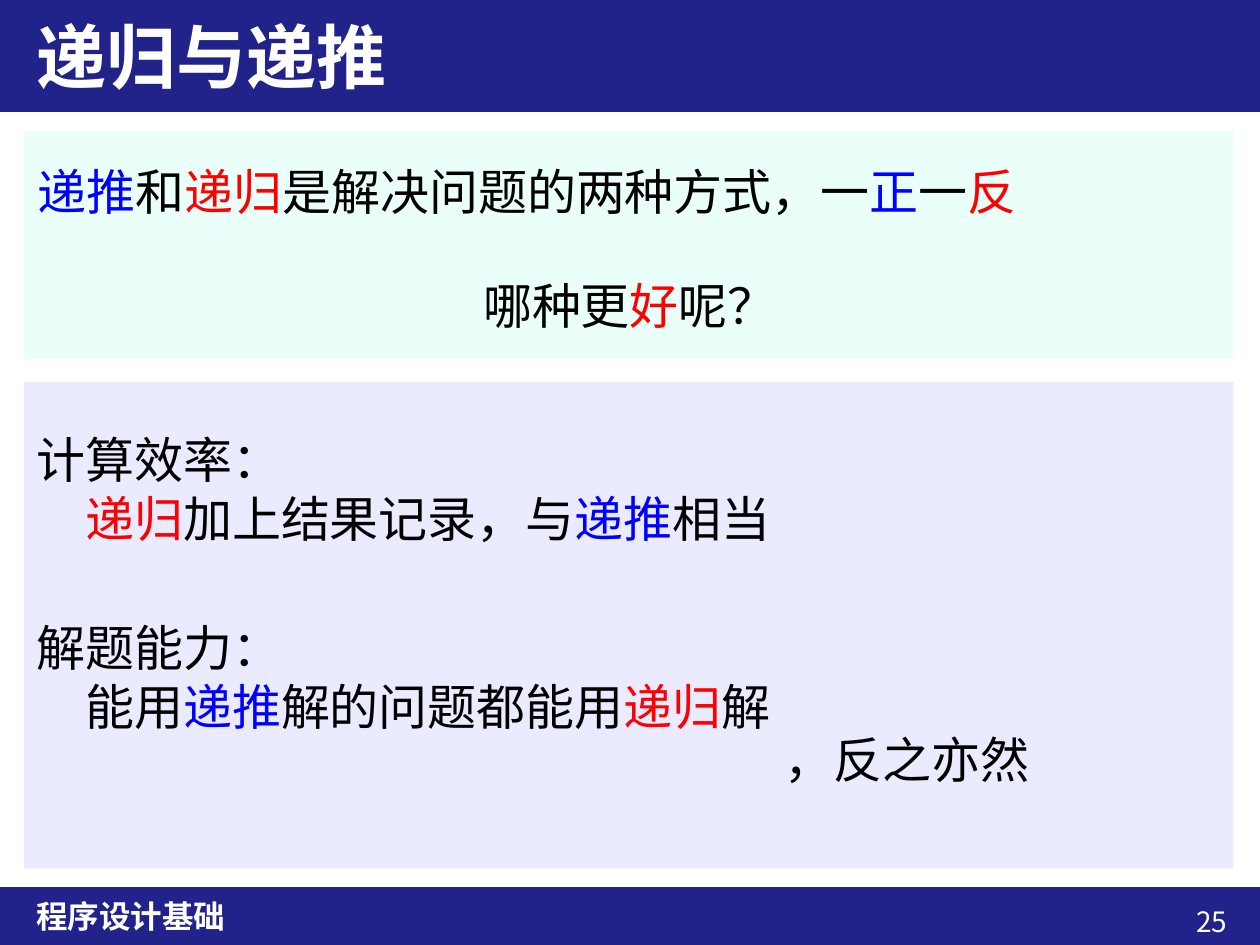
from dataclasses import dataclass

from pptx import Presentation
from pptx.dml.color import RGBColor
from pptx.enum.shapes import MSO_SHAPE
from pptx.enum.text import MSO_ANCHOR, MSO_AUTO_SIZE, PP_ALIGN
from pptx.oxml.ns import qn
from pptx.util import Pt

RECT = MSO_SHAPE.RECTANGLE
LEFT, CENTER, RIGHT = PP_ALIGN.LEFT, PP_ALIGN.CENTER, PP_ALIGN.RIGHT
TOP, MIDDLE = MSO_ANCHOR.TOP, MSO_ANCHOR.MIDDLE


@dataclass(frozen=True)
class Theme:
    band: str = "22228B"
    mint: str = "EBFFFA"
    lilac: str = "EBEBFF"
    white: str = "FFFFFF"
    black: str = "000000"
    blue: str = "0000FF"
    red: str = "FF0000"
    heading_font: str = "Noto Sans CJK SC"
    body_font: str = "Arial"
    title_size: int = 40
    body_size: int = 28
    footer_size: int = 18
    number_size: int = 16


class SlideBuilder:
    """Holds the theme and the current slide."""

    def __init__(self, slide, theme):
        self.s = slide
        self.theme = theme

    def box(self, area, fill):
        sp = self.s.shapes.add_shape(RECT, *map(Pt, area))
        sp.shadow.inherit = False
        sp.fill.solid()
        sp.fill.fore_color.rgb = RGBColor.from_string(fill)
        sp.line.fill.background()
        return sp

    def text_box(self, area):
        return self.s.shapes.add_textbox(*map(Pt, area))

    def placeholder(self, index, area):
        sp = self.s.placeholders[index]
        sp.left, sp.top, sp.width, sp.height = map(Pt, area)
        self.s.shapes._spTree.append(sp._element)  # bring to front
        return sp

    def frame(self, sp, anchor=MIDDLE, top_inset=3.6):
        tf = sp.text_frame
        tf.word_wrap = True
        tf.auto_size = MSO_AUTO_SIZE.NONE
        tf.vertical_anchor = anchor
        tf.margin_top = Pt(top_inset)
        return tf

    def style(self, r, size, color, font, bold=False):
        r.font.size = Pt(size)
        r.font.bold = bold
        r.font.name = font
        r.font.color.rgb = RGBColor.from_string(color)
        ea = r.font._element.makeelement(
            qn("a:ea"), {"typeface": self.theme.heading_font})
        r.font._element.find(qn("a:latin")).addnext(ea)

    def label(self, sp, text, size, align=LEFT, bold=True, anchor=MIDDLE):
        """One white line on a dark band."""
        tf = self.frame(sp, anchor)
        tf.text = text
        p = tf.paragraphs[0]
        p.alignment = align
        self.style(p.runs[0], size, self.theme.white,
                   self.theme.heading_font, bold)

    def line(self, p, parts, align=LEFT, spacing=1.0, indent=0, before=0):
        """One body line; each part is (text, colour)."""
        p.alignment = align
        p.line_spacing = spacing
        p.space_before = Pt(before)
        p_pr = p._p.get_or_add_pPr()
        p_pr.set("marL", str(Pt(indent)))
        p_pr.set("indent", "0")
        p_pr.append(p_pr.makeelement(qn("a:buNone"), {}))
        for text, color in parts:
            r = p.add_run()
            r.text = text
            self.style(r, self.theme.body_size, color, self.theme.body_font)


def main():
    prs = Presentation()
    prs.slide_width, prs.slide_height = Pt(720), Pt(540)
    t = Theme()
    b = SlideBuilder(prs.slides.add_slide(prs.slide_layouts[1]), t)
    x, width = 13.7, 691.2

    # Bands and footer
    b.box((0, 0, 720, 64), t.band)
    b.box((0, 507, 720, 33), t.band)
    b.label(b.text_box((x, 507, width, 33)), "程序设计基础", t.footer_size)
    b.label(b.text_box((618.5, 513.4, 90, 26.6)), "25", t.number_size,
            align=RIGHT, bold=False, anchor=TOP)

    # Title
    b.label(b.placeholder(0, (x, 0, width, 64)), "递归与递推", t.title_size)

    # Question panel
    b.box((x, 75, width, 130.3), t.mint)
    tf = b.frame(b.placeholder(1, (14.4, 77, width, 57)))
    b.line(tf.paragraphs[0], [
        ("递推", t.blue), ("和", t.black), ("递归", t.red),
        ("是解决问题的两种方式，一", t.black), ("正", t.blue),
        ("一", t.black), ("反", t.red)], spacing=1.2)
    tf = b.frame(b.text_box((14.4, 145.4, width, 51)))
    b.line(tf.paragraphs[0], [
        ("哪种更", t.black), ("好", t.red), ("呢？", t.black)],
        align=CENTER, spacing=1.2)

    # Comparison panel: a heading and an indented answer per topic
    topics = [
        ("计算效率：", [("递归", t.red), ("加上结果记录，与", t.black),
                   ("递推", t.blue), ("相当", t.black)]),
        ("解题能力：", [("能用", t.black), ("递推", t.blue),
                   ("解的问题都能用", t.black), ("递归", t.red),
                   ("解", t.black)]),
    ]
    tf = b.frame(b.box((x, 218.2, width, 278), t.lilac), TOP, top_inset=27.5)
    for i, (heading, answer) in enumerate(topics):
        p = tf.add_paragraph() if i else tf.paragraphs[0]
        b.line(p, [(heading, t.black)], before=40 if i else 0)
        b.line(tf.add_paragraph(), answer, indent=t.body_size)

    # Closing remark
    tf = b.frame(b.box((441.4, 405.4, 175.7, 56.2), t.lilac))
    b.line(tf.paragraphs[0], [("，反之亦然", t.black)])

    prs.save("out.pptx")


if __name__ == "__main__":
    main()
